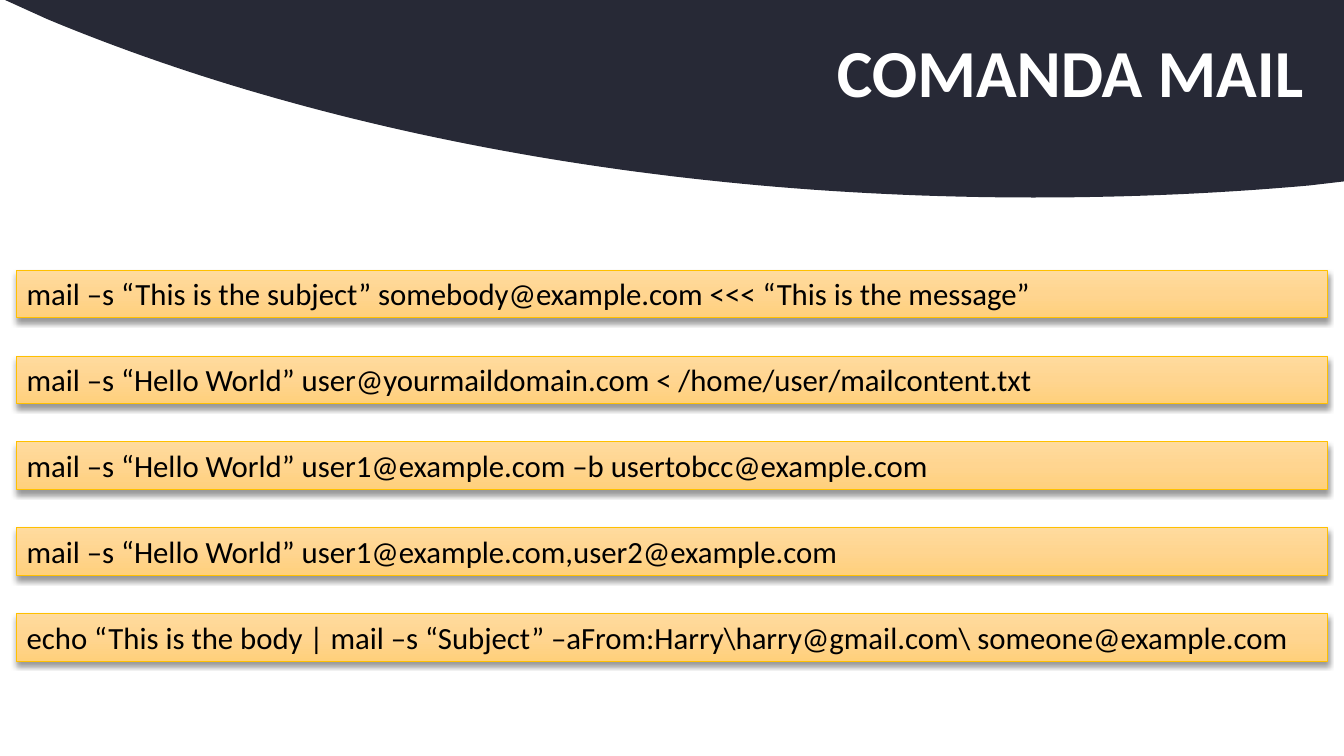
from copy import deepcopy
from dataclasses import dataclass

from lxml.etree import SubElement
from pptx import Presentation
from pptx.dml.color import RGBColor
from pptx.enum.shapes import MSO_SHAPE
from pptx.enum.text import MSO_ANCHOR, MSO_AUTO_SIZE, PP_ALIGN
from pptx.oxml.ns import qn
from pptx.util import Pt


@dataclass(frozen=True)
class Theme:
    font: str = "Calibri"
    title_size: int = 48
    command_size: int = 22
    banner: str = "272936"
    title: str = "FFFFFF"
    text: str = "000000"
    border: str = "FFC000"
    shadow: str = "000000"
    gradient: tuple = ((0, "FFDB9E"), (0.5, "FFD590"), (1, "FFD07C"))


def bezier(p0, p1, p2, p3, steps=60):
    points = []
    for i in range(1, steps + 1):
        t = i / steps
        u = 1 - t
        points.append(tuple(
            u**3 * a + 3 * u * u * t * b + 3 * u * t * t * c + t**3 * d
            for a, b, c, d in zip(p0, p1, p2, p3)
        ))
    return points


class SlideBuilder:
    """Draws the elements of one slide in a shared theme."""

    def __init__(self, s, theme):
        self.s = s
        self.theme = theme

    def add_run(self, p, text, size, color, bold=False):
        r = p.add_run()
        r.text = text
        r.font.name = self.theme.font
        r.font.size = Pt(size)
        r.font.bold = bold
        r.font.color.rgb = RGBColor.from_string(color)

    def banner(self):
        edge, low, end = (935.3, 132.5), (738.7, 141.1), (33.8, 13.7)
        points = [(960, 0), (960, 129.6), edge]
        points += bezier(edge, (871.2, 138.2), (805.7, 141.1), low)
        points += bezier(low, (470.9, 141.1), (225.4, 93.6), end)
        fb = self.s.shapes.build_freeform(Pt(3.6), 0)
        fb.add_line_segments([(Pt(x), Pt(y)) for x, y in points], close=True)
        sp = fb.convert_to_shape()
        sp.shadow.inherit = False
        sp.fill.solid()
        sp.fill.fore_color.rgb = RGBColor.from_string(self.theme.banner)
        sp.line.fill.background()

    def title(self, text):
        sp = self.s.shapes.add_textbox(Pt(66), Pt(1.5), Pt(894), Pt(105.5))
        tf = sp.text_frame
        tf.word_wrap = True
        tf.vertical_anchor = MSO_ANCHOR.MIDDLE
        tf.margin_right = Pt(28.8)
        p = tf.paragraphs[0]
        p.alignment = PP_ALIGN.RIGHT
        p.line_spacing = 0.9
        self.add_run(p, text, self.theme.title_size, self.theme.title, bold=True)

    def gradient(self, sp):
        sp.fill.gradient()
        sp.fill.gradient_angle = 270
        stops = sp.element.spPr.find(".//" + qn("a:gsLst"))
        stops.insert(1, deepcopy(stops[0]))
        for stop, (position, color) in zip(sp.fill.gradient_stops, self.theme.gradient):
            stop.position = position
            stop.color.rgb = RGBColor.from_string(color)

    def shadow(self, sp):
        sp.shadow.inherit = False
        effects = sp.element.spPr.find(qn("a:effectLst"))
        outer = SubElement(effects, qn("a:outerShdw"), blurRad=str(Pt(4)),
                           dist=str(Pt(3)), dir="5400000", rotWithShape="0")
        color = SubElement(outer, qn("a:srgbClr"), val=self.theme.shadow)
        SubElement(color, qn("a:alpha"), val="40000")

    def command(self, text, top):
        sp = self.s.shapes.add_shape(MSO_SHAPE.RECTANGLE, Pt(12), Pt(top), Pt(936), Pt(33.9))
        self.gradient(sp)
        sp.line.color.rgb = RGBColor.from_string(self.theme.border)
        sp.line.width = Pt(0.5)
        self.shadow(sp)
        tf = sp.text_frame
        tf.word_wrap = True
        tf.auto_size = MSO_AUTO_SIZE.SHAPE_TO_FIT_TEXT
        tf.vertical_anchor = MSO_ANCHOR.TOP
        p = tf.paragraphs[0]
        p.alignment = PP_ALIGN.LEFT
        self.add_run(p, text, self.theme.command_size, self.theme.text)


COMMANDS = (
    "mail –s “This is the subject” somebody@example.com <<< “This is the message”",
    "mail –s “Hello World” user@yourmaildomain.com < /home/user/mailcontent.txt",
    "mail –s “Hello World” user1@example.com –b usertobcc@example.com",
    "mail –s “Hello World” user1@example.com,user2@example.com",
    "echo “This is the body | mail –s “Subject” –aFrom:Harry\\harry@gmail.com\\ someone@example.com",
)


def main():
    prs = Presentation()
    prs.slide_width, prs.slide_height = Pt(960), Pt(540)
    builder = SlideBuilder(prs.slides.add_slide(prs.slide_layouts[6]), Theme())
    builder.banner()
    builder.title("COMANDA MAIL")
    for i, text in enumerate(COMMANDS):
        builder.command(text, 193 + 61.3 * i)
    prs.save("out.pptx")


if __name__ == "__main__":
    main()
